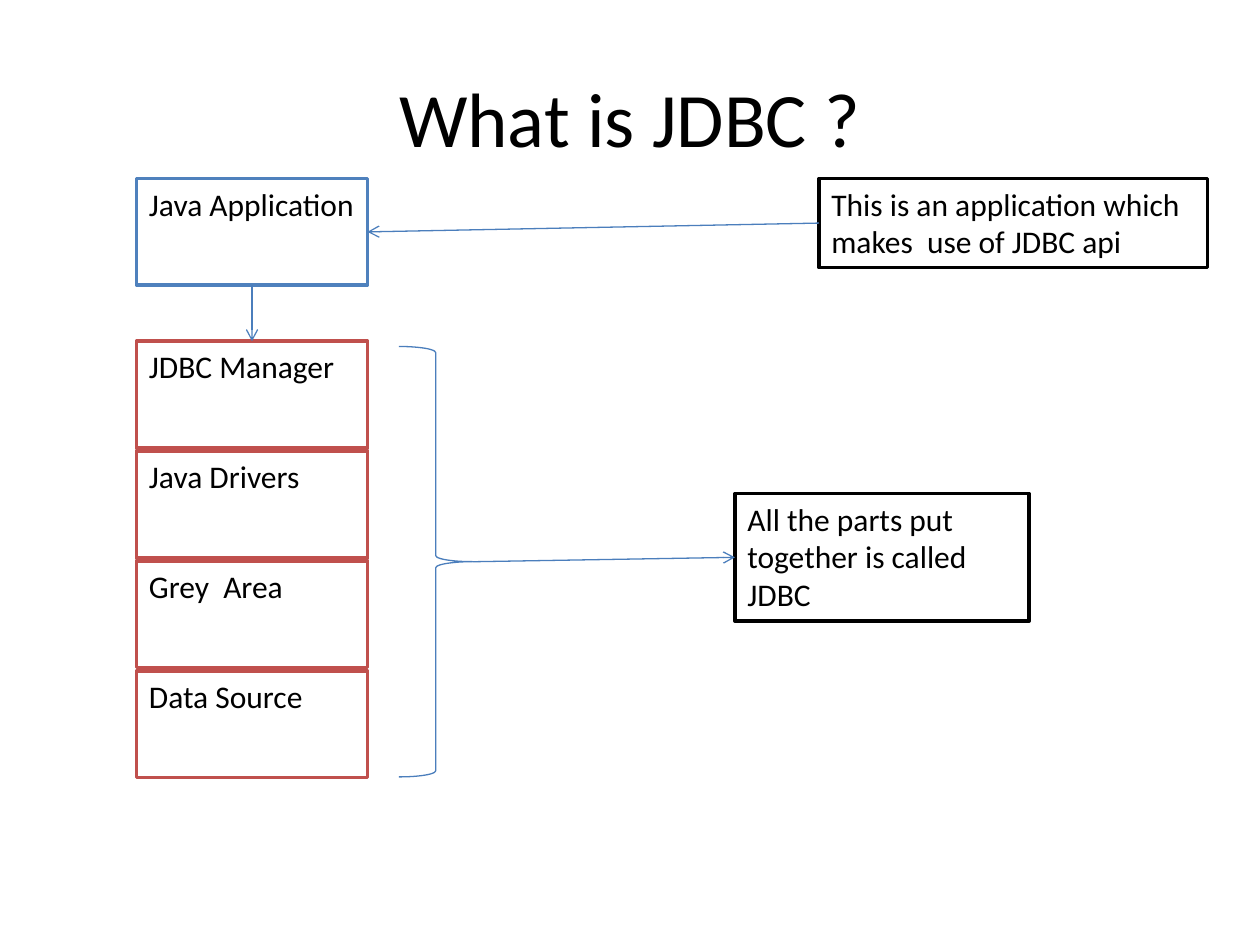
from dataclasses import dataclass

from lxml.etree import SubElement
from pptx import Presentation
from pptx.dml.color import RGBColor as Color
from pptx.enum.shapes import MSO_CONNECTOR as Connector, MSO_SHAPE as Shape
from pptx.enum.text import MSO_ANCHOR as Anchor, PP_ALIGN as Align
from pptx.oxml.ns import qn
from pptx.util import Pt


@dataclass(frozen=True)
class Theme:
    font: str = "Calibri"
    title_size: Pt = Pt(44)
    body_size: Pt = Pt(18)
    text: Color = Color(0, 0, 0)
    fill: Color = Color(255, 255, 255)
    application: Color = Color.from_string("4F81BD")
    component: Color = Color.from_string("C0504D")
    note: Color = Color(0, 0, 0)
    link: Color = Color.from_string("4B7EBC")
    border_width: Pt = Pt(2)
    link_width: Pt = Pt(0.75)


theme = Theme()


def add_box(slide, text, left, top, width, height, border):
    box = slide.shapes.add_shape(
        Shape.RECTANGLE, Pt(left), Pt(top), Pt(width), Pt(height)
    )
    box.shadow.inherit = False
    box.fill.solid()
    box.fill.fore_color.rgb = theme.fill
    box.line.color.rgb = border
    box.line.width = theme.border_width
    frame = box.text_frame
    frame.word_wrap = True
    frame.vertical_anchor = Anchor.TOP
    para = frame.paragraphs[0]
    para.text = text
    para.alignment = Align.LEFT
    para.font.name = theme.font
    para.font.size = theme.body_size
    para.font.color.rgb = theme.text


def add_arrow(slide, start_x, start_y, end_x, end_y):
    arrow = slide.shapes.add_connector(
        Connector.STRAIGHT, Pt(start_x), Pt(start_y), Pt(end_x), Pt(end_y)
    )
    arrow.line.color.rgb = theme.link
    arrow.line.width = theme.link_width
    properties = arrow.element.spPr
    SubElement(properties.get_or_add_ln(), qn("a:tailEnd"), type="arrow")
    SubElement(properties, qn("a:effectLst"))


deck = Presentation()
deck.slide_width = Pt(720)
deck.slide_height = Pt(540)
page = deck.slides.add_slide(deck.slide_layouts[5])

title = page.shapes.title
title.left, title.top, title.width, title.height = Pt(36), Pt(21.6), Pt(648), Pt(90)
title.text_frame.vertical_anchor = Anchor.MIDDLE
heading = title.text_frame.paragraphs[0]
heading.text = "What is JDBC ?"
heading.alignment = Align.CENTER
heading.font.name = theme.font
heading.font.size = theme.title_size
heading.font.color.rgb = theme.text

stack_left, stack_width, box_height = 78, 132, 61
stack_right = stack_left + stack_width
stack_middle = stack_left + stack_width / 2
application_top, components_top, component_step = 102, 195, 62.8

add_box(page, "Java Application", stack_left, application_top,
        stack_width, box_height, theme.application)

components = ["JDBC Manager", "Java Drivers", "Grey  Area", "Data Source"]
for index, name in enumerate(components):
    add_box(page, name, stack_left, components_top + index * component_step,
            stack_width, box_height, theme.component)

add_box(page, "This is an application which makes  use of JDBC api",
        468, application_top, 222, 51, theme.note)
add_box(page, "All the parts put together is called JDBC",
        420, 282, 168, 73, theme.note)

brace = page.shapes.add_shape(
    Shape.RIGHT_BRACE, Pt(228), Pt(198), Pt(42), Pt(246)
)
brace.shadow.inherit = False
brace.fill.background()
brace.line.color.rgb = theme.link
brace.line.width = theme.link_width

add_arrow(page, 468, 127.5, stack_right, application_top + box_height / 2)
add_arrow(page, stack_middle, application_top + box_height,
          stack_middle, components_top)
add_arrow(page, 270, 321, 420, 318.5)

deck.save("out.pptx")
